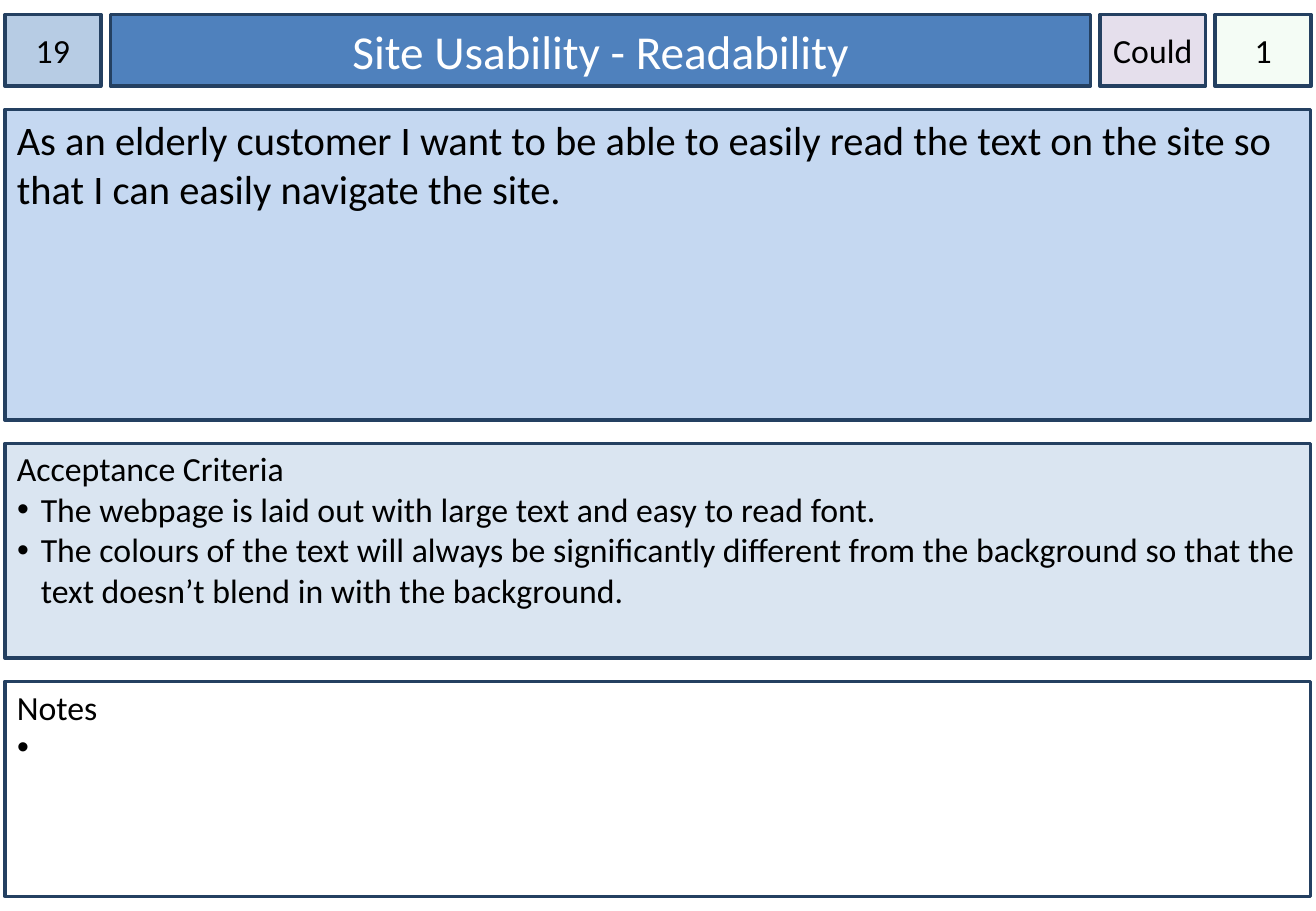
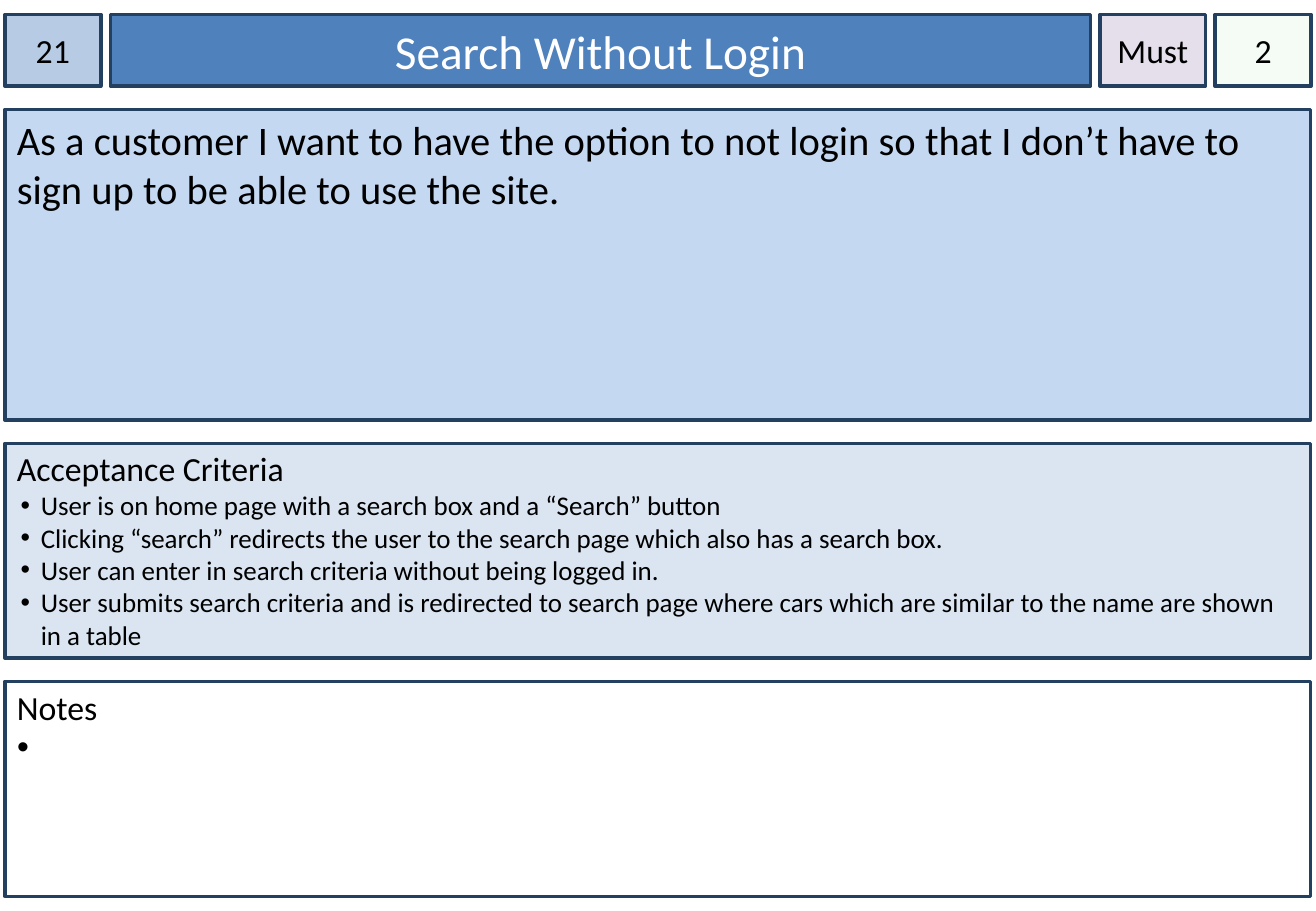
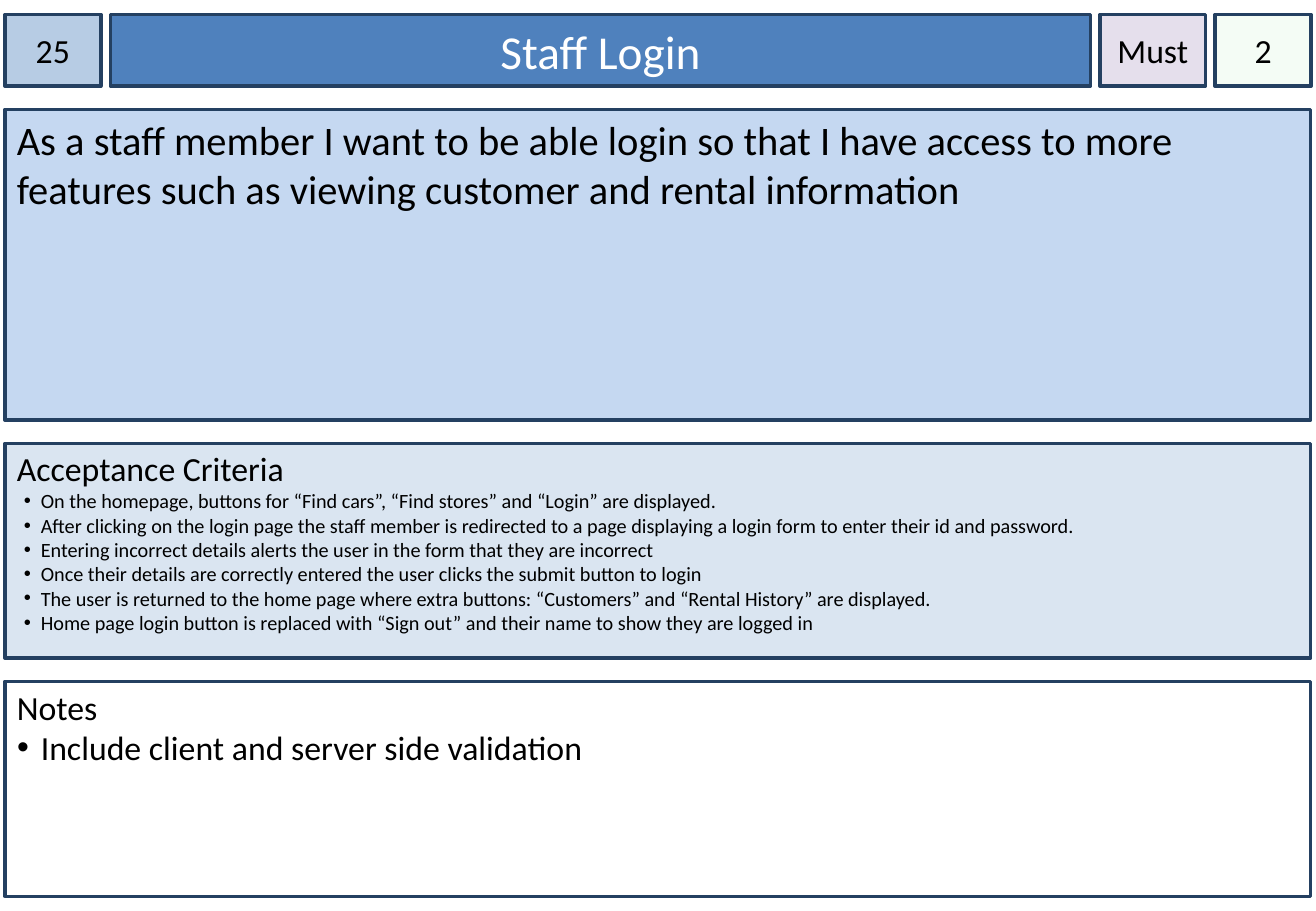
from dataclasses import dataclass

from lxml import etree
from pptx import Presentation
from pptx.dml.color import RGBColor
from pptx.enum.shapes import MSO_SHAPE
from pptx.enum.text import MSO_ANCHOR, PP_ALIGN
from pptx.oxml.ns import qn
from pptx.util import Pt

RECTANGLE = MSO_SHAPE.RECTANGLE
TOP, MIDDLE = MSO_ANCHOR.TOP, MSO_ANCHOR.MIDDLE
LEFT, CENTER = PP_ALIGN.LEFT, PP_ALIGN.CENTER

FONT = "Calibri"
COLORS = {
    "border": "244061",
    "text": "000000",
    "title_text": "FFFFFF",
    "number": "B7CCE4",
    "title": "4F81BD",
    "priority": "E5DFEC",
    "estimate": "CCF0CD",
    "story": "C5D8F1",
    "criteria": "DAE5F1",
    "notes": "FFFFFF",
}

SLIDE_WIDTH, SLIDE_HEIGHT = 780, 540
MARGIN_LEFT, MARGIN_TOP = 2.9, 8.6
COLUMN_GAP, ROW_GAP = 5.6, 13.7
HEADER_HEIGHT, STORY_HEIGHT, LIST_HEIGHT = 42.5, 184.3, 127.4
CARD_WIDTH = 774
BULLET_INDENT = 14.2
ESTIMATE_OPACITY = 20


@dataclass(frozen=True)
class Card:
    """One user story card."""
    number: str
    title: str
    priority: str
    estimate: str
    story: str
    criteria: tuple[str, ...]
    criteria_size: float = 20
    notes: tuple[str, ...] = (" ",)


@dataclass(frozen=True)
class HeaderCell:
    """One cell of the header row."""
    text: str
    width: float
    color: str
    size: float = 20
    text_color: str = "text"
    side_inset: float = 0
    opacity: int = 100


CARDS = (
    Card(
        "19", "Site Usability - Readability", "Could", "1",
        "As an elderly customer I want to be able to easily read the text on the site "
        "so that I can easily navigate the site.",
        (
            "The webpage is laid out with large text and easy to read font.",
            "The colours of the text will always be significantly different from the "
            "background so that the text doesn’t blend in with the background.",
        ),
    ),
    Card(
        "21", "Search Without Login", "Must", "2",
        "As a customer I want to have the option to not login so that I don’t have to "
        "sign up to be able to use the site.",
        (
            "User is on home page with a search box and a “Search” button",
            "Clicking “search” redirects the user to the search page which also has a "
            "search box.",
            "User can enter in search criteria without being logged in.",
            "User submits search criteria and is redirected to search page where cars "
            "which are similar to the name are shown in a table",
        ),
        criteria_size=16,
    ),
    Card(
        "25", "Staff Login", "Must", "2",
        "As a staff member I want to be able login so that I have access to more "
        "features such as viewing customer and rental information",
        (
            "On the homepage, buttons for “Find cars”, “Find stores” and “Login” are "
            "displayed.",
            "After clicking on the login page the staff member is redirected to a page "
            "displaying a login form to enter their id and password.",
            "Entering incorrect details alerts the user in the form that they are "
            "incorrect",
            "Once their details are correctly entered the user clicks the submit button "
            "to login",
            "The user is returned to the home page where extra buttons: “Customers” and "
            "“Rental History” are displayed.",
            "Home page login button is replaced with “Sign out” and their name to show "
            "they are logged in",
        ),
        criteria_size=12,
        notes=("Include client and server side validation",),
    ),
)


def add_box(slide, left: float, top: float, width: float, height: float, color: str, *,
            anchor=TOP, side_inset: float = 7.2, top_inset: float = 3.6,
            opacity: int = 100):
    """Add a bordered rectangle and return its shape."""
    shape = slide.shapes.add_shape(RECTANGLE, Pt(left), Pt(top), Pt(width), Pt(height))
    shape.shadow.inherit = False
    shape.fill.solid()
    shape.fill.fore_color.rgb = RGBColor.from_string(COLORS[color])
    if opacity < 100:
        fill_color = shape.fill._xPr.find(f".//{qn('a:srgbClr')}")
        etree.SubElement(fill_color, qn("a:alpha"), val=str(opacity * 1000))
    shape.line.color.rgb = RGBColor.from_string(COLORS["border"])
    shape.line.width = Pt(2)
    frame = shape.text_frame
    frame.word_wrap = True
    frame.vertical_anchor = anchor
    frame.margin_left = frame.margin_right = Pt(side_inset)
    frame.margin_top, frame.margin_bottom = Pt(top_inset), Pt(3.6)
    return shape


def write_text(paragraph, text: str, *, size: float, color: str = "text",
               align=LEFT, bullet: bool = False) -> None:
    """Write formatted text into a paragraph, with an optional bullet."""
    paragraph.alignment = align
    run = paragraph.add_run()
    run.text = text
    run.font.name = FONT
    run.font.size = Pt(size)
    run.font.color.rgb = RGBColor.from_string(COLORS[color])
    if bullet:
        properties = paragraph._p.get_or_add_pPr()
        properties.set("marL", str(Pt(BULLET_INDENT)))
        properties.set("indent", str(-Pt(4 + size / 2)))
        etree.SubElement(properties, qn("a:buFont"), typeface="Arial")
        etree.SubElement(properties, qn("a:buChar"), char="•")


def add_header(slide, card: Card, top: float) -> None:
    """Add the row with number, title, priority and estimate."""
    cells = (
        HeaderCell(card.number, 56.9, "number"),
        HeaderCell(card.title, 581, "title", size=28, text_color="title_text",
                   side_inset=7.2),
        HeaderCell(card.priority, 62.6, "priority"),
        HeaderCell(card.estimate, 56.9, "estimate", opacity=ESTIMATE_OPACITY),
    )
    left = MARGIN_LEFT
    for cell in cells:
        shape = add_box(slide, left, top, cell.width, HEADER_HEIGHT, cell.color,
                        anchor=MIDDLE, side_inset=cell.side_inset, opacity=cell.opacity)
        write_text(shape.text_frame.paragraphs[0], cell.text, size=cell.size,
                   color=cell.text_color, align=CENTER)
        left += cell.width + COLUMN_GAP


def add_story(slide, text: str, top: float) -> None:
    """Add the large box with the user story."""
    shape = add_box(slide, MARGIN_LEFT, top, CARD_WIDTH, STORY_HEIGHT, "story")
    write_text(shape.text_frame.paragraphs[0], text, size=24)


def add_list(slide, heading: str, items: tuple[str, ...], top: float, color: str,
             size: float = 20) -> None:
    """Add a box with a heading and a bulleted list."""
    shape = add_box(slide, MARGIN_LEFT, top, CARD_WIDTH, LIST_HEIGHT, color,
                    top_inset=2.9)
    frame = shape.text_frame
    write_text(frame.paragraphs[0], heading, size=20)
    for item in items:
        write_text(frame.add_paragraph(), item, size=size, bullet=True)


def add_card(presentation, card: Card) -> None:
    """Add one slide holding a complete card."""
    slide = presentation.slides.add_slide(presentation.slide_layouts[6])
    story_top = MARGIN_TOP + HEADER_HEIGHT + ROW_GAP
    criteria_top = story_top + STORY_HEIGHT + ROW_GAP
    notes_top = criteria_top + LIST_HEIGHT + ROW_GAP
    add_header(slide, card, MARGIN_TOP)
    add_story(slide, card.story, story_top)
    add_list(slide, "Acceptance Criteria", card.criteria, criteria_top, "criteria",
             card.criteria_size)
    add_list(slide, "Notes", card.notes, notes_top, "notes")


def main() -> None:
    """Build and save the presentation."""
    presentation = Presentation()
    presentation.slide_width = Pt(SLIDE_WIDTH)
    presentation.slide_height = Pt(SLIDE_HEIGHT)
    for card in CARDS:
        add_card(presentation, card)
    presentation.save("out.pptx")


main()
